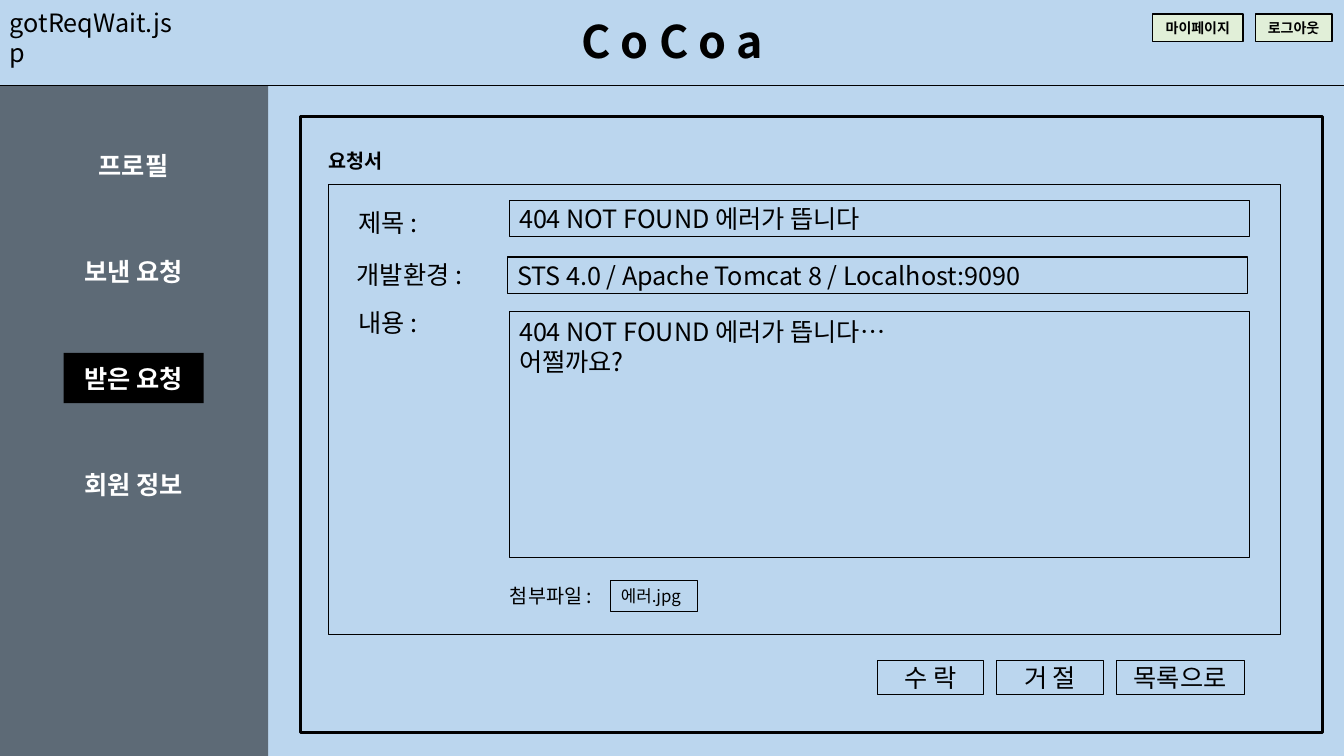
from dataclasses import dataclass
from typing import Optional

import pptx
import pptx.dml.color
import pptx.enum.shapes
import pptx.enum.text
import pptx.oxml.ns
import pptx.util

ALIGN = pptx.enum.text.PP_ALIGN
ANCHOR = pptx.enum.text.MSO_ANCHOR
FIT = pptx.enum.text.MSO_AUTO_SIZE

FONT = "Noto Sans CJK KR"
SKY, BLACK, WHITE, MINT = "BBD6EE", "000000", "FFFFFF", "E1EFD8"
COLUMNS, ROWS = 133.3, 75  # grid cells are a tenth of an inch
HEADER_ROWS = 8.5


@dataclass
class Lettering:
    size: float = 18
    color: str = BLACK
    bold: bool = False
    align: ALIGN = ALIGN.LEFT
    anchor: ANCHOR = ANCHOR.MIDDLE
    fit: FIT = FIT.NONE


@dataclass
class Box:
    column: float
    row: float
    columns: float
    rows: float
    text: str = ""
    lettering: Optional[Lettering] = None
    fill: Optional[str] = None
    line: Optional[float] = None


def cells(count: float) -> pptx.util.Emu:
    return pptx.util.Inches(count / 10)


def rgb(hex_color: str) -> pptx.dml.color.RGBColor:
    return pptx.dml.color.RGBColor.from_string(hex_color)


def write(shape, text: str, style: Lettering) -> None:
    frame = shape.text_frame
    frame.text = text
    frame.word_wrap = True
    frame.auto_size = style.fit
    frame.vertical_anchor = style.anchor
    for paragraph in frame.paragraphs:
        paragraph.alignment = style.align
        for run in paragraph.runs:
            run.font.size = pptx.util.Pt(style.size)
            run.font.bold = style.bold
            run.font.name = FONT
            run.font.color.rgb = rgb(style.color)
            east_asian = pptx.oxml.parse_xml(
                f'<a:ea {pptx.oxml.ns.nsdecls("a")} typeface="{FONT}"/>')
            run.font._element.append(east_asian)


def draw(slide, box: Box):
    place = [cells(n) for n in (box.column, box.row, box.columns, box.rows)]
    if box.fill is None and box.line is None:
        shape = slide.shapes.add_textbox(*place)
    else:
        shape = slide.shapes.add_shape(
            pptx.enum.shapes.MSO_SHAPE.RECTANGLE, *place)
        shape.shadow.inherit = False
        if box.fill:
            shape.fill.solid()
            shape.fill.fore_color.rgb = rgb(box.fill)
        else:
            shape.fill.background()
        if box.line:
            shape.line.color.rgb = rgb(BLACK)
            shape.line.width = pptx.util.Pt(box.line)
        else:
            shape.line.fill.background()
    if box.lettering:
        write(shape, box.text, box.lettering)
    return shape


TITLE = Lettering(32, bold=True, align=ALIGN.CENTER, anchor=ANCHOR.TOP,
                  fit=FIT.SHAPE_TO_FIT_TEXT)
TOP_BUTTON = Lettering(10, bold=True, align=ALIGN.CENTER, anchor=ANCHOR.TOP,
                       fit=FIT.SHAPE_TO_FIT_TEXT)
MENU = Lettering(color=WHITE, bold=True, align=ALIGN.CENTER)
ACTION = Lettering(align=ALIGN.CENTER)
FIELD = Lettering()
CONTENT = Lettering(anchor=ANCHOR.TOP)
LABEL = Lettering(anchor=ANCHOR.TOP, fit=FIT.SHAPE_TO_FIT_TEXT)
SMALL_LABEL = Lettering(14, anchor=ANCHOR.TOP, fit=FIT.SHAPE_TO_FIT_TEXT)
HEADING = Lettering(14, bold=True, anchor=ANCHOR.TOP,
                    fit=FIT.SHAPE_TO_FIT_TEXT)
FILE_NAME = Lettering(12)

HEADER = [
    Box(124.5, 1.4, 7.6, 2.7, "로그아웃", TOP_BUTTON, MINT, 1),
    Box(114.3, 1.4, 9, 2.7, "마이페이지", TOP_BUTTON, MINT, 1),
    Box(0, 0.2, 19.1, 4, "gotReqWait.jsp", LABEL),
]
MENU_ITEMS = ["프로필", "보낸 요청", "받은 요청", "회원 정보"]
CURRENT_ITEM = "받은 요청"
FORM = [
    Box(29.8, 11.6, 101.4, 61.1, line=2.25),
    Box(32.6, 18.3, 94.4, 44.7, line=0.75),
    Box(31.6, 14.3, 12.1, 3.4, "요청서", HEADING),
    Box(34.6, 20.1, 9.1, 4, "제목 :", LABEL),
    Box(50.5, 19.9, 73.4, 3.6, "404 NOT FOUND 에러가 뜹니다", FIELD, line=0.75),
    Box(34.4, 25.2, 13.3, 4, "개발환경 :", LABEL),
    Box(50.3, 25.5, 73.4, 3.6, "STS 4.0 / Apache Tomcat 8 / Localhost:9090",
        FIELD, line=0.75),
    Box(34.6, 30, 9, 4, "내용 :", LABEL),
    Box(50.5, 30.9, 73.4, 24.4, "404 NOT FOUND 에러가 뜹니다…\n어쩔까요?",
        CONTENT, line=0.75),
    Box(49.6, 57.4, 11, 3.4, "첨부파일 :", SMALL_LABEL),
    Box(60.6, 57.6, 8.6, 3.1, "에러.jpg", FILE_NAME, line=0.75),
]
ACTIONS = [("수 락", 10.6), ("거 절", 10.6), ("목록으로", 12.7)]


def main() -> None:
    deck = pptx.Presentation()
    deck.slide_width, deck.slide_height = cells(COLUMNS), cells(ROWS)
    slide = deck.slides.add_slide(deck.slide_layouts[5])
    slide.background.fill.solid()
    slide.background.fill.fore_color.rgb = rgb(SKY)

    # Header
    title = slide.shapes.title
    title.left, title.top = cells(50.5), cells(0.9)
    title.width, title.height = cells(32.4), cells(6.4)
    write(title, "C o C o a", TITLE)
    rule = slide.shapes.add_connector(
        pptx.enum.shapes.MSO_CONNECTOR.STRAIGHT,
        0, cells(HEADER_ROWS), cells(COLUMNS), cells(HEADER_ROWS))
    rule.line.color.rgb = rgb(BLACK)
    rule.line.width = pptx.util.Pt(0.75)
    rule._element.spPr.append(pptx.oxml.parse_xml(
        f'<a:effectLst {pptx.oxml.ns.nsdecls("a")}/>'))
    for part in HEADER:
        draw(slide, part)

    # Half-transparent sidebar with its menu
    sidebar = draw(slide, Box(0, HEADER_ROWS, 26.6, ROWS - HEADER_ROWS,
                              fill=BLACK))
    tint = sidebar._element.spPr.find(".//" + pptx.oxml.ns.qn("a:srgbClr"))
    tint.append(pptx.oxml.parse_xml(
        f'<a:alpha {pptx.oxml.ns.nsdecls("a")} val="50000"/>'))
    for index, item in enumerate(MENU_ITEMS):
        draw(slide, Box(6.3, 13.9 + 10.55 * index, 13.9, 5, item, MENU,
                        fill=BLACK if item == CURRENT_ITEM else None))

    # Request form
    for part in FORM:
        draw(slide, part)

    # Action buttons, left to right
    column = 87
    for action, columns in ACTIONS:
        draw(slide, Box(column, 65.5, columns, 3.4, action, ACTION, line=0.75))
        column += columns + 1.25

    deck.save("out.pptx")


if __name__ == "__main__":
    main()
